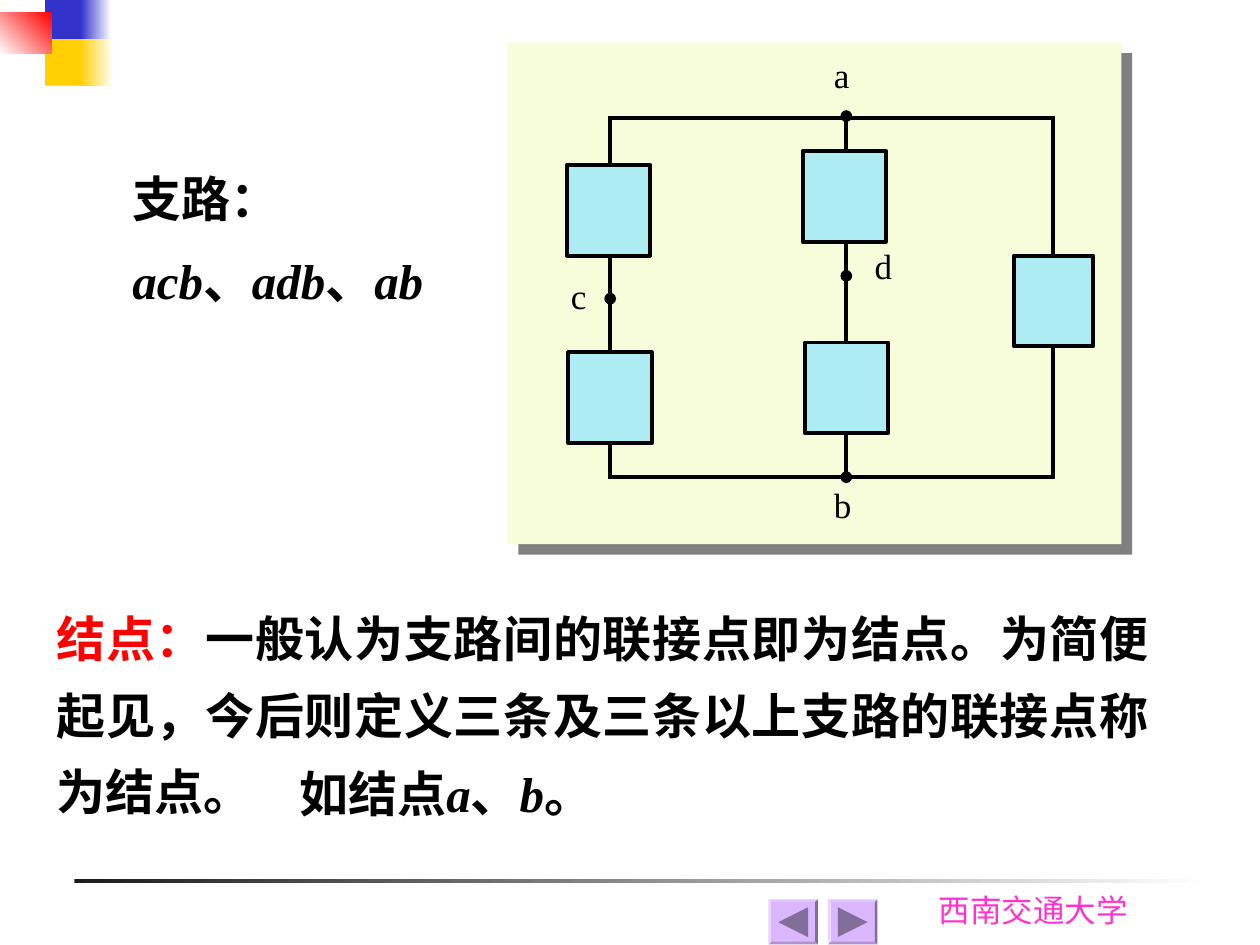
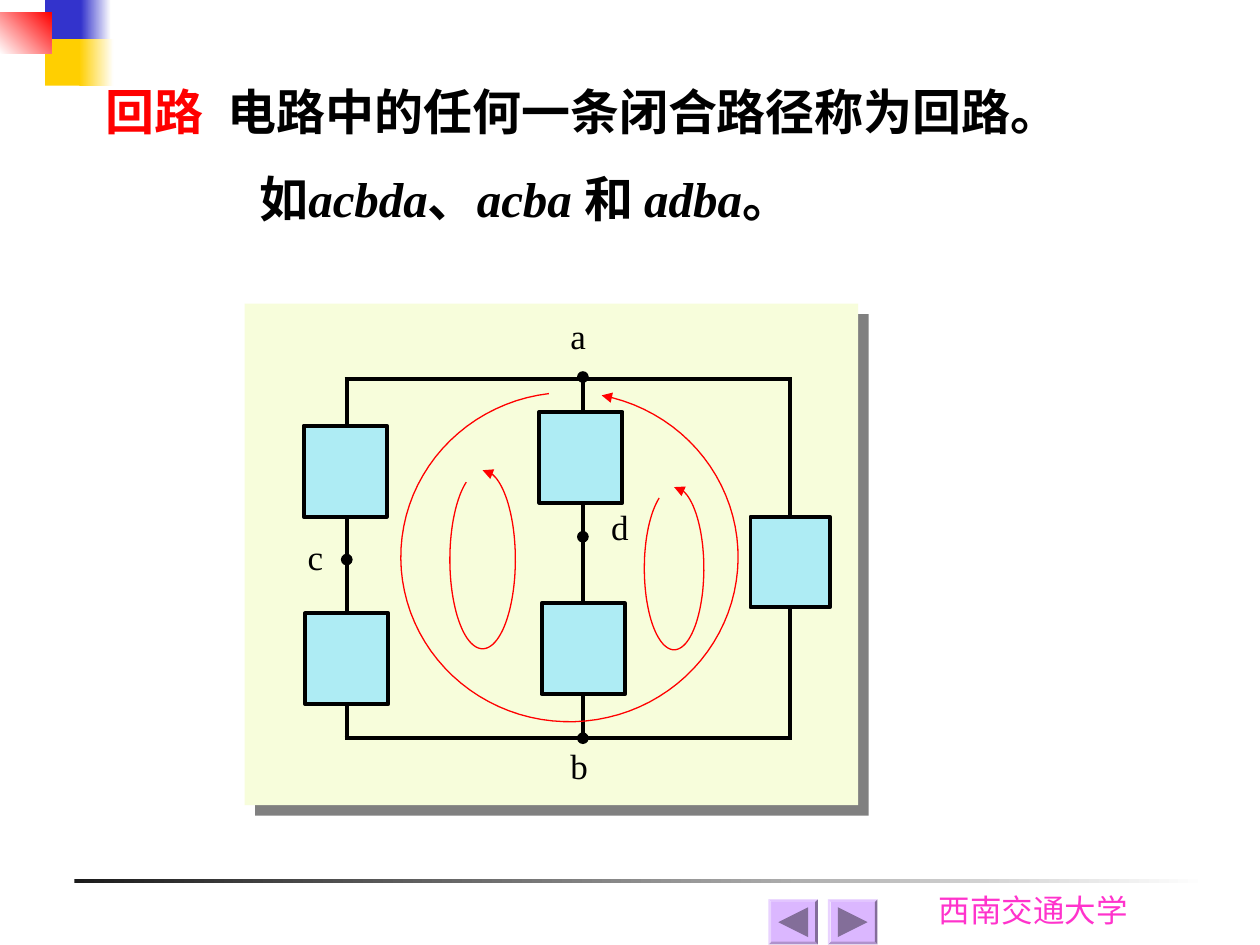
from math import cos, pi, sin

from lxml import etree
from pptx import Presentation
from pptx.dml.color import RGBColor
from pptx.enum.shapes import MSO_CONNECTOR, MSO_SHAPE
from pptx.enum.text import PP_ALIGN
from pptx.oxml.ns import qn
from pptx.util import Cm, Pt

RECT, BEVEL, TRI = MSO_SHAPE.RECTANGLE, MSO_SHAPE.BEVEL, MSO_SHAPE.ISOSCELES_TRIANGLE
LINE = MSO_CONNECTOR.STRAIGHT
LEFT, JUST = PP_ALIGN.LEFT, PP_ALIGN.JUSTIFY

HUES = {
    "black": "000000", "white": "FFFFFF", "red": "FF0000", "ink": "1C1C1C",
    "blue": "3333CC", "gold": "FFCF01", "pink": "FF33CC", "cream": "F7FDDB",
    "cyan": "AEECF4", "gray": "808080", "lilac": "DBB7FF", "plum": "836E99",
}
SERIF, HAN, SANS = "Times New Roman", "Noto Sans CJK SC", "Roboto"

# Shared trim: place, first colour, second colour, gradient angle
TRIM = [
    ((1.5, 17.73, 22.86, 0.08), "ink", "white", 0),
    ((0.91, 0, 0.81, 0.94), "blue", None, 0),
    ((1.63, 0, 0.61, 0.94), "blue", "white", 0),
    ((0.91, 0.79, 0.79, 0.94), "gold", None, 0),
    ((1.6, 0.79, 0.69, 0.94), "gold", "white", 0),
    ((0, 0.25, 1.04, 0.84), "white", "red", 45),
]
SCHOOL = ((18.67, 17.83, 4.6, 1.02), "西南交通大学")
BUTTONS = [(15.49, 270), (16.69, 90)]  # left edge, turn of the triangle

# Circuit, measured from the corner of its panel
PANEL = (12.37, 10.11)
X1, X2, X3 = 2.06, 6.82, 10.99  # the three branches
TOP, BOTTOM, EDGE = 1.52, 8.76, 0.04
NODE_C, NODE_D = 5.16, 4.7
WIRES = [  # from, to, dot at from, dot at to
    ((X1 - EDGE, TOP), (X3 + EDGE, TOP), False, False),
    ((X1 - EDGE, BOTTOM), (X3 + EDGE, BOTTOM), False, False),
    ((X1, TOP), (X1, NODE_C), False, False),
    ((X1, NODE_C), (X1, BOTTOM), True, False),
    ((X2, TOP - EDGE), (X2, NODE_D), True, False),
    ((X2, NODE_D), (X2, BOTTOM), True, True),
    ((X3, TOP), (X3, BOTTOM), False, False),
]
PARTS = [  # centre, width
    ((2.03, 3.38), 1.68), ((2.06, 7.16), 1.68),
    ((6.78, 3.1), 1.68), ((6.83, 6.96), 1.68), ((11, 5.21), 1.6),
]
TALL = 1.83
LABELS = [("a", 6.32, 0.1), ("b", 6.32, 8.76), ("c", 1.02, 4.55), ("d", 7.14, 3.94)]

# Loops: centre, radii, start and end angle in degrees
LOOPS = [
    ((9.73, 11.28), (0.66, 1.8), 270, 600),
    ((13.59, 11.46), (0.6, 1.64), 270, 600),
    ((11.48, 11.23), (3.4, 3.32), 281, 623),
]

# Slides: runs are (text, colour, italic)
K, R = "black", "red"
PAGES = [
    {
        "panel": (10.24, 0.86), "loops": [],
        "texts": [
            {"at": (0.89, 11.79, 22.53, 4.88), "lead": 1.3, "paras": [[
                ("结点：", R, False),
                ("一般认为支路间的联接点即为结点。为简便起见，今后则定义三条"
                 "及三条以上支路的联接点称为结点。", K, False)]]},
            {"at": (5.79, 15.27, 7.98, 1.45), "paras": [[
                ("如结点", K, False), ("a", K, True), ("、", K, False),
                ("b", K, True), ("。", K, False)]]},
            {"at": (2.67, 2.92, 7.34, 3.33), "lead": 1.4, "pad": 0, "paras": [
                [("支路：", K, False)],
                [("acb", K, True), ("、", K, False), ("adb", K, True),
                 ("、", K, False), ("ab", K, True)]]},
        ],
    },
    {
        "panel": (4.93, 6.12), "loops": LOOPS,
        "texts": [
            {"at": (1.88, 1.52, 21.49, 1.45), "tab": 2.46, "paras": [[
                ("回路\t", R, False),
                ("电路中的任何一条闭合路径称为回路。", K, False)]]},
            {"at": (4.98, 3.28, 16.26, 1.45), "paras": [[
                ("如", K, False), ("acbda", K, True), ("、", K, False),
                ("acba ", K, True), ("和 ", K, False), ("adba", K, True),
                ("。", K, False)]]},
        ],
    },
]


def rgb(name):
    return RGBColor.from_string(HUES[name])


def add(parent, tag, **attrs):
    return etree.SubElement(parent, qn(tag), attrs)


def shape(slide, kind, at, hue, hue2=None, angle=0, edge=False):
    item = slide.shapes.add_shape(kind, *map(Cm, at))
    item.shadow.inherit = False
    if hue2:
        item.fill.gradient()
        item.fill.gradient_angle = angle
        for stop, name in zip(item.fill.gradient_stops, (hue, hue2)):
            stop.color.rgb = rgb(name)
    else:
        item.fill.solid()
        item.fill.fore_color.rgb = rgb(hue)
    if edge:
        item.line.color.rgb = rgb("black")
        item.line.width = Pt(2.25)
    else:
        item.line.fill.background()
    return item


def text(slide, at, paras, size=28, bold=True, face=SERIF, lead=None, pad=None,
         tab=None, align=JUST):
    frame = slide.shapes.add_textbox(*map(Cm, at)).text_frame
    frame.word_wrap = True
    if pad is not None:
        frame.margin_left = frame.margin_right = Cm(pad)
        frame.margin_top = frame.margin_bottom = Cm(pad)
    for i, runs in enumerate(paras):
        para = frame.add_paragraph() if i else frame.paragraphs[0]
        para.alignment = LEFT if tab else align
        if lead:
            para.line_spacing = lead
        if tab:
            tabs = add(para._p.get_or_add_pPr(), "a:tabLst")
            add(tabs, "a:tab", pos=str(Cm(tab)), algn="l")
        font = para.font
        font.size, font.bold, font.name = Pt(size), bold, face
        add(font._rPr, "a:ea", typeface=HAN)
        for words, hue, slant in runs:
            run = para.add_run()
            run.text = words
            run.font.color.rgb = rgb(hue)
            if slant:
                run.font.italic = True


def tip(line, end, kind):
    add(line.line._get_or_add_ln(), end, type=kind, w="med", len="med")


def trim(slide):
    for at, hue, hue2, angle in TRIM:
        shape(slide, RECT, at, hue, hue2, angle)
    at, name = SCHOOL
    text(slide, at, [[(name, "pink", False)]], 18, False, SANS, align=LEFT)
    for left, turn in BUTTONS:
        key = shape(slide, BEVEL, (left, 18.13, 1, 0.91), "lilac")
        key.adjustments[0] = 0.06
        mark = shape(slide, TRI, (left + 0.2, 18.29, 0.6, 0.6), "plum")
        mark.rotation = turn


def circuit(slide, left, top):
    panel = shape(slide, RECT, (left, top, *PANEL), "cream")
    glow = panel._element.spPr.find(qn("a:effectLst"))
    shade = add(glow, "a:outerShdw", dist=str(Pt(8.5)), dir="2700000",
                algn="ctr", rotWithShape="0")
    add(shade, "a:srgbClr", val=HUES["gray"])

    for (x1, y1), (x2, y2), head, tail in WIRES:
        wire = slide.shapes.add_connector(
            LINE, Cm(left + x1), Cm(top + y1), Cm(left + x2), Cm(top + y2))
        wire.line.color.rgb = rgb("black")
        wire.line.width = Pt(2.25)
        if head:
            tip(wire, "a:headEnd", "oval")
        if tail:
            tip(wire, "a:tailEnd", "oval")
        add(wire._element.spPr, "a:effectLst")
    for (x, y), wide in PARTS:
        at = (left + x - wide / 2, top + y - TALL / 2, wide, TALL)
        shape(slide, RECT, at, "cyan", edge=True)
    for name, x, y in LABELS:
        text(slide, (left + x, top + y, 1.6, 1.68), [[(name, "black", False)]],
             20, False)


def loop(slide, mid, radii, start, end, steps=90):
    turns = [(start + (end - start) * i / steps) * pi / 180 for i in range(steps + 1)]
    dots = [(Cm(mid[0] + radii[0] * cos(t)), Cm(mid[1] + radii[1] * sin(t)))
            for t in turns]
    pen = slide.shapes.build_freeform(*dots[0])
    pen.add_line_segments(dots[1:], close=False)
    arc = pen.convert_to_shape()
    arc.shadow.inherit = False
    arc.fill.background()
    arc.line.color.rgb = rgb("red")
    arc.line.width = Pt(0.75)
    tip(arc, "a:headEnd", "triangle")


def main():
    deck = Presentation()
    deck.slide_width, deck.slide_height = Cm(25.4), Cm(19.05)
    blank = deck.slide_layouts[6]
    for page in PAGES:
        slide = deck.slides.add_slide(blank)
        trim(slide)
        circuit(slide, *page["panel"])
        for block in page["texts"]:
            text(slide, **block)
        for ring in page["loops"]:
            loop(slide, *ring)
    deck.save("out.pptx")


if __name__ == "__main__":
    main()
